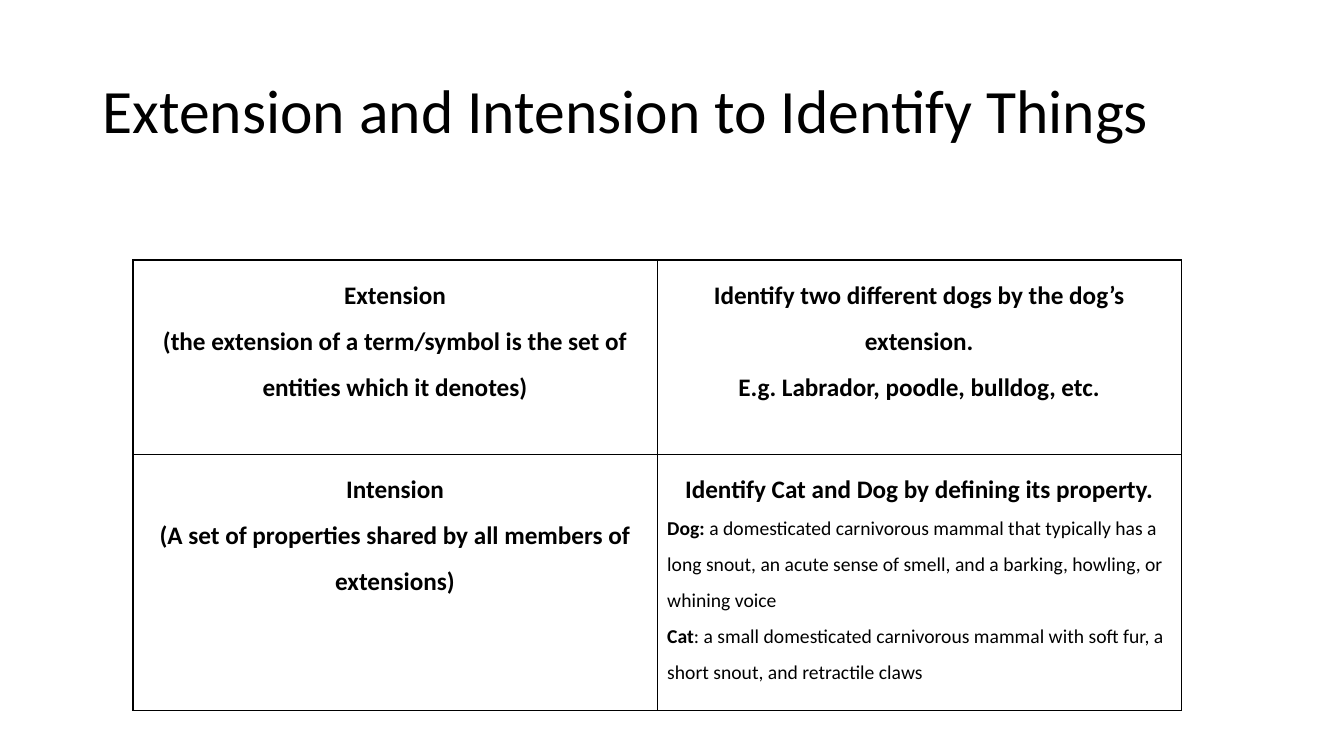
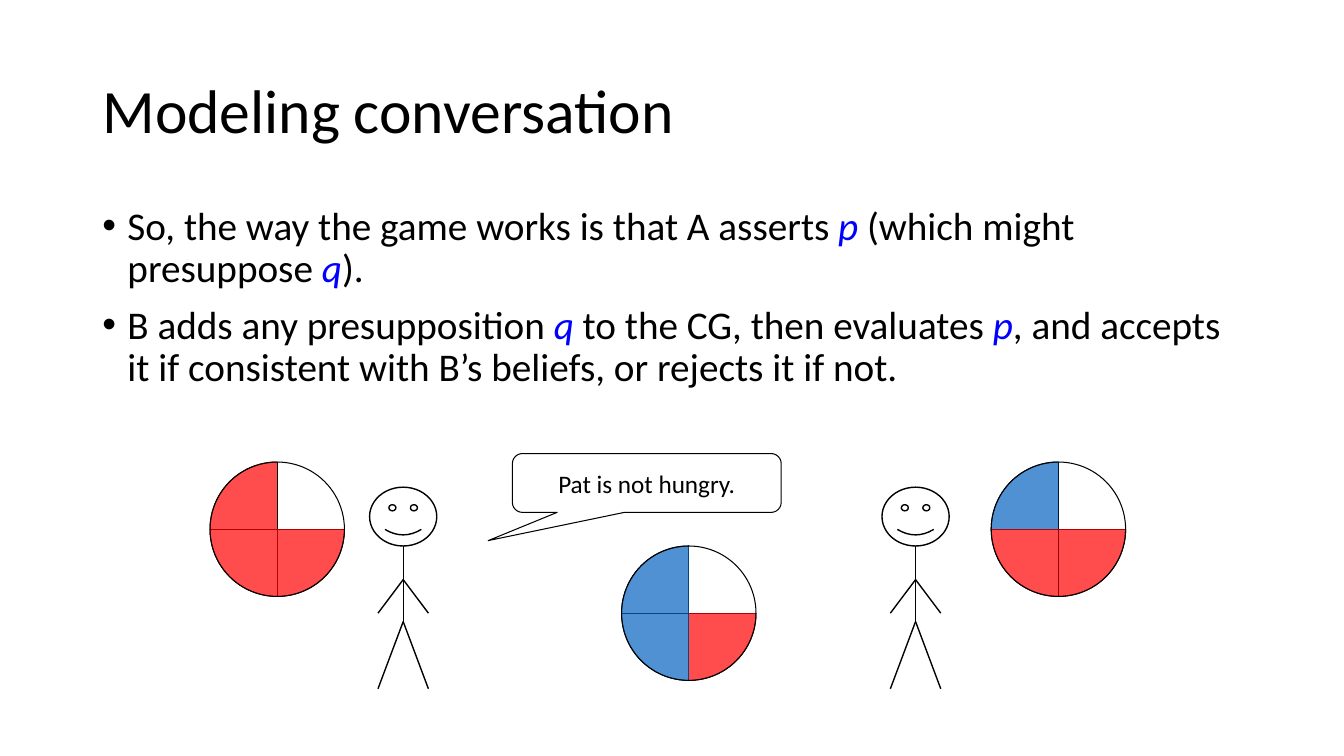
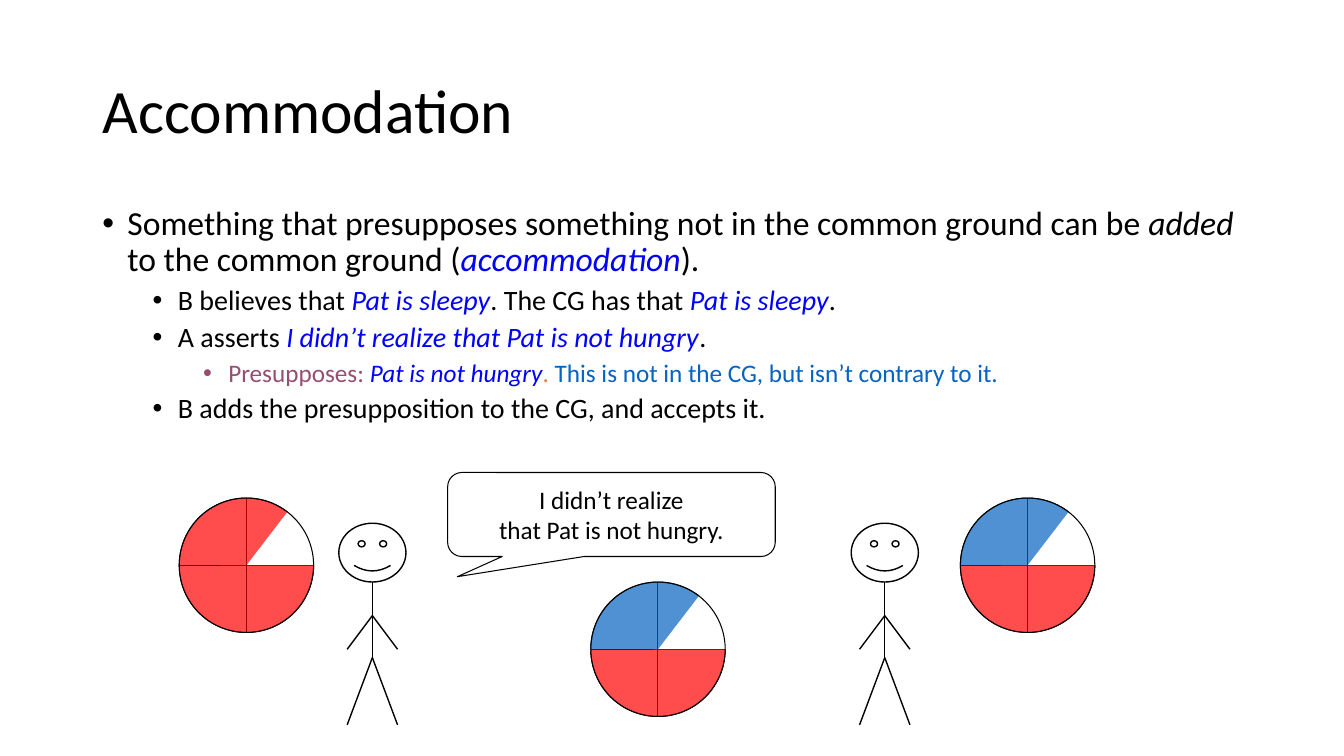
from pptx import Presentation
from pptx.dml.color import RGBColor
from pptx.enum.shapes import MSO_CONNECTOR as Link, MSO_SHAPE as Kind
from pptx.enum.text import MSO_ANCHOR as Anchor, MSO_AUTO_SIZE as Auto, PP_ALIGN as Align
from pptx.oxml.ns import qn
from pptx.util import Pt
from lxml.etree import SubElement as Sub

BLACK, WHITE, RED, BLUE = "000000", "FFFFFF", "FF0000", "0563C1"
TERM = {"color": "0000FF", "italic": True}
BOLD = {"bold": True}
CENTER = {"alignment": Align.CENTER, "line_spacing": 1.5}
LEFT = {"alignment": Align.LEFT, "line_spacing": 1.5}


def paint(hue):
    return RGBColor.from_string(hue)


def apply(thing, form):
    for name, value in form.items():
        setattr(thing, name, value)


class Deck:
    base = {"name": "Calibri", "color": BLACK, "bold": False, "italic": False}
    tight = {"alignment": Align.LEFT, "line_spacing": 0.9}

    def __init__(self):
        self.show = Presentation()
        apply(self.show, {"slide_width": Pt(960), "slide_height": Pt(540)})

    def page(self, title):
        self.slide = self.show.slides.add_slide(self.show.slide_layouts[5])
        self.shapes = self.slide.shapes
        back = self.slide.background.fill
        back.solid()
        back.fore_color.rgb = paint(WHITE)
        head = self.shapes.title
        apply(head, {"left": Pt(66), "top": Pt(28.75), "width": Pt(828), "height": Pt(104.4)})
        apply(head.text_frame, {"vertical_anchor": Anchor.MIDDLE, "word_wrap": True,
                                "auto_size": Auto.NONE})
        self.put(head.text_frame.paragraphs[0], [title], 44, self.tight)

    def put(self, para, runs, size, form):
        apply(para, form)
        for item in runs:
            text, extra = (item, {}) if isinstance(item, str) else item
            look = {**self.base, "size": Pt(size), **extra}
            hue = look.pop("color")
            run = para.add_run()
            run.text = text
            apply(run.font, look)
            run.font.color.rgb = paint(hue)

    def paras(self, frame, items):
        for num, (runs, size, form) in enumerate(items):
            para = frame.add_paragraph() if num else frame.paragraphs[0]
            self.put(para, runs, size, form)

    def bullets(self, high, items):
        box = self.shapes.add_textbox(Pt(66), Pt(144), Pt(828), Pt(high))
        frame = box.text_frame
        frame.word_wrap = True
        for num, (level, size, runs) in enumerate(items):
            para = frame.add_paragraph() if num else frame.paragraphs[0]
            props = para._p.get_or_add_pPr()
            props.set("marL", str(Pt(18 + 36 * level)))
            props.set("indent", str(Pt(-18)))
            Sub(props, qn("a:buFont"), typeface="Arial")
            Sub(props, qn("a:buChar"), char="•")
            gap = (5 if level else 10) if num else 0
            self.put(para, runs, size, {**self.tight, "level": level, "space_before": Pt(gap)})

    def table(self, left, top, wide, highs, rows):
        cols = len(rows[0])
        grid = self.shapes.add_table(len(rows), cols, Pt(left), Pt(top),
                                     Pt(wide * cols), Pt(sum(highs))).table
        apply(grid, {"first_row": False, "horz_banding": False})
        for col in grid.columns:
            col.width = Pt(wide)
        for row, high, cells in zip(grid.rows, highs, rows):
            row.height = Pt(high)
            for cell, items in zip(row.cells, cells):
                self.border(cell)
                cell.fill.background()
                self.paras(cell.text_frame, items)

    def border(self, cell):
        props = cell._tc.get_or_add_tcPr()
        for side in ("lnL", "lnR", "lnT", "lnB"):
            line = Sub(props, qn("a:" + side), w=str(Pt(1)))
            Sub(Sub(line, qn("a:solidFill")), qn("a:srgbClr"), val=BLACK)

    def stroke(self, shape, width):
        shape.line.color.rgb = paint(BLACK)
        shape.line.width = Pt(width)

    def shape(self, kind, left, top, wide, high, width=0.75, adj=()):
        item = self.shapes.add_shape(kind, Pt(left), Pt(top), Pt(wide), Pt(high))
        item.shadow.inherit = False
        item.fill.background()
        self.stroke(item, width)
        for num, value in enumerate(adj):
            item.adjustments[num] = value
        return item

    def line(self, x, y, to_x, to_y, width):
        item = self.shapes.add_connector(Link.STRAIGHT, Pt(x), Pt(y), Pt(to_x), Pt(to_y))
        self.stroke(item, width)
        Sub(item._element.spPr, qn("a:effectLst"))

    def person(self, x, top):
        self.shape(Kind.SMILEY_FACE, x - 24, top, 48, 42, 1)
        self.line(x, top + 42, x, top + 96, 1)
        for start, end in ((96, 144), (66, 90)):
            for reach in (18, -18):
                self.line(x, top + start, x + reach, top + end, 1)

    def pie(self, left, top, slices, size=96):
        half = size / 2
        self.shape(Kind.OVAL, left, top, size, size)
        self.line(left + half, top, left + half, top + size, 0.75)
        self.line(left, top + half, left + size, top + half, 0.75)
        for start, end, hue in slices:
            part = self.shape(Kind.ARC, left, top, size, size, adj=(start * 0.6, end * 0.6))
            part.fill.solid()
            part.fill.fore_color.rgb = paint(hue)
            tint = part._element.spPr.find(qn("a:solidFill"))[0]
            Sub(tint, qn("a:alpha"), val="70000")

    def speech(self, left, top, wide, high, tip, lines):
        item = self.shape(Kind.ROUNDED_RECTANGULAR_CALLOUT, left, top, wide, high, adj=tip)
        apply(item.text_frame, {"word_wrap": False, "vertical_anchor": Anchor.MIDDLE})
        self.paras(item.text_frame, [([text], 18, {"alignment": Align.CENTER}) for text in lines])

    def scene(self, x, y, end, lower):
        for place in (288, 654):
            self.person(x + place, y + 348)
        for left, top, low, high in ((150, 330, RED, RED), (708, 330, RED, BLUE),
                                     (444, 390, lower, BLUE)):
            self.pie(x + left, y + top, [(0, 90, RED), (90, 180, low), (180, end, high)])


def main():
    deck = Deck()

    deck.page("Extension and Intension to Identify Things")
    rows = [
        [["Extension",
          "(the extension of a term/symbol is the set of entities which it denotes)"],
         ["Identify two different dogs by the dog’s extension.",
          "E.g. Labrador, poodle, bulldog, etc."]],
        [["Intension", "(A set of properties shared by all members of extensions)"],
         ["Identify Cat and Dog by defining its property."]],
    ]
    cells = [[[([(text, BOLD)], 18, CENTER) for text in cell] for cell in row] for row in rows]
    cells[1][1] += [
        ([("Dog: ", BOLD), "a domesticated carnivorous mammal that typically has a long snout, "
          "an acute sense of smell, and a barking, howling, or whining voice"], 14, LEFT),
        ([("Cat", BOLD), ": a small domesticated carnivorous mammal with soft fur, "
          "a short snout, and retractile claws"], 14, LEFT),
    ]
    deck.table(95, 185.75, 374.4, (138.75, 183), cells)

    deck.page("Modeling conversation")
    deck.bullets(151, [
        (0, 28, ["So, the way the game works is that A asserts ", ("p", TERM),
                 " (which might presuppose ", ("q", TERM), ")."]),
        (0, 28, ["B adds any presupposition ", ("q", TERM), " to the CG, then evaluates ",
                 ("p", TERM),
                 ", and accepts it if consistent with B’s beliefs, or rejects it if not."]),
    ])
    deck.scene(0, 0, 270, BLUE)
    deck.speech(366, 324, 192, 42, (-0.59, 0.98, 0.17), ["Pat is not hungry."])

    deck.page("Accommodation")
    deck.bullets(183, [
        (0, 24, ["Something that presupposes something not in the common ground can be ",
                 ("added", {"italic": True}), " to the common ground (",
                 ("accommodation", TERM), ")."]),
        (1, 20, ["B believes that ", ("Pat is sleepy", TERM), ". The CG has that ",
                 ("Pat is sleepy", TERM), "."]),
        (1, 20, ["A asserts ", ("I didn’t realize that Pat is not hungry", TERM), "."]),
        (2, 18, [("Presupposes: ", {"color": "954F72"}), ("Pat is not hungry", TERM),
                 (". ", {"color": "ED7D31"}),
                 ("This is not in the CG, but isn’t contrary to it.", {"color": BLUE})]),
        (1, 20, ["B adds the presupposition to the CG, and accepts it."]),
    ])
    deck.scene(-22, 25.75, 307.5, RED)
    deck.speech(319.75, 337.5, 234, 60, (-0.47, 0.74, 0.17),
                ["I didn’t realize", "that Pat is not hungry."])

    deck.show.save("out.pptx")


if __name__ == "__main__":
    main()
